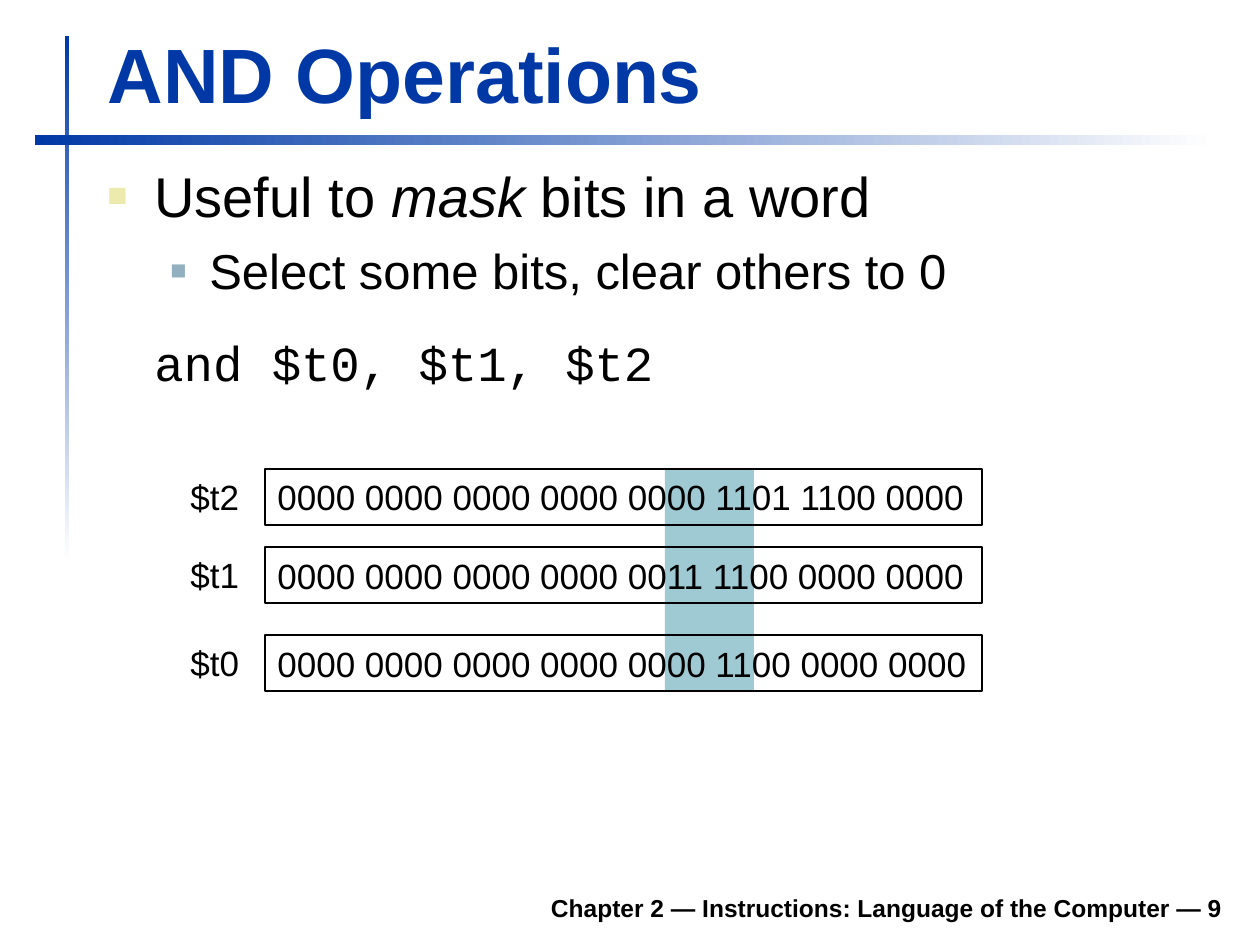
"""Build a slide on using AND to mask bits in a word."""
from dataclasses import dataclass

from lxml import etree
from pptx import Presentation
from pptx import util as u
from pptx.dml.color import RGBColor
from pptx.enum import shapes, text
from pptx.oxml.ns import qn

BLUE, BLACK, WHITE, TEAL = "0039A6", "000000", "FFFFFF", "9FCAD3"


@dataclass
class Row:
    """A register with its bits and its top edge."""
    name: str
    bits: str
    top: int


@dataclass
class Item:
    """A body paragraph, its runs as (text, italic) pairs."""
    runs: list
    size: int
    before: int
    left: int
    hang: int = 0
    level: int = 0
    mark: str = ""
    scale: int = 100
    font: str = "Arial"


ROWS = [
    Row("$t2", "0000 0000 0000 0000 0000 1101 1100 0000", 469),
    Row("$t1", "0000 0000 0000 0000 0011 1100 0000 0000", 547),
    Row("$t0", "0000 0000 0000 0000 0000 1100 0000 0000", 635),
]
ITEMS = [
    Item([("Useful to ", False), ("mask", True), (" bits in a word", False)],
         32, 4, 47, 47, mark="ECEAAC", scale=60),
    Item([("Select some bits, clear others to 0", False)],
         28, 7, 102, 39, level=1, mark="91AFBF", scale=55),
    Item([("and $t0, $t1, $t2", False)], 28, 19, 47, font="Courier New"),
]


def px(n: int) -> int:
    """Turn pixels into EMU."""
    return round(n * u.Inches(1) / 126)


def rgb(code: str) -> RGBColor:
    """Turn a hex string into a colour."""
    return RGBColor.from_string(code)


def style(run, size: int, color=BLACK, font="Arial", bold=False, italic=False):
    """Format one run."""
    f = run.font
    f.size, f.name, f.bold, f.italic = u.Pt(size), font, bold, italic
    f.color.rgb = rgb(color)


def write(shape, words: str, *, align=text.PP_ALIGN.LEFT,
          anchor=text.MSO_ANCHOR.TOP, wrap=True, **look):
    """Put one formatted line of text into a shape."""
    frame = shape.text_frame
    frame.word_wrap, frame.vertical_anchor = wrap, anchor
    frame.auto_size = text.MSO_AUTO_SIZE.NONE
    para = frame.paragraphs[0]
    para.alignment = align
    run = para.add_run()
    run.text = words
    style(run, **look)


def rect(slide, x: int, y: int, w: int, h: int, fill="", line=""):
    """Draw a rectangle with an optional fill and line."""
    box = slide.shapes.add_shape(shapes.MSO_SHAPE.RECTANGLE,
                                 px(x), px(y), px(w), px(h))
    box.shadow.inherit = False
    if fill:
        box.fill.solid()
        box.fill.fore_color.rgb = rgb(fill)
    else:
        box.fill.background()
    if line:
        box.line.color.rgb, box.line.width = rgb(line), u.Pt(0.75)
    else:
        box.line.fill.background()
    return box


def fade(slide, x: int, y: int, w: int, h: int, angle: int):
    """Draw a bar that fades from blue to white."""
    fill = rect(slide, x, y, w, h).fill
    fill.gradient()
    fill.gradient_angle = angle
    for stop, color in zip(fill.gradient_stops, (BLUE, WHITE)):
        stop.color.rgb = rgb(color)


def label(slide, x: int, y: int, w: int, h: int):
    """Add an empty text box."""
    return slide.shapes.add_textbox(px(x), px(y), px(w), px(h))


def bullet(para, item: Item):
    """Set the indent and the bullet of a paragraph."""
    props = para._p.get_or_add_pPr()
    props.set("marL", str(px(item.left)))
    props.set("indent", str(-px(item.hang)))
    if not item.mark:
        etree.SubElement(props, qn("a:buNone"))
        return
    tint = etree.SubElement(props, qn("a:buClr"))
    etree.SubElement(tint, qn("a:srgbClr"), val=item.mark)
    etree.SubElement(props, qn("a:buSzPct"), val=str(item.scale * 1000))
    etree.SubElement(props, qn("a:buFont"), typeface="Arial")
    etree.SubElement(props, qn("a:buChar"), char="■")


def body(slide, items: list[Item]):
    """Write the list of points."""
    frame = label(slide, 95, 155, 1140, 286).text_frame
    frame.word_wrap = True
    for i, item in enumerate(items):
        para = frame.add_paragraph() if i else frame.paragraphs[0]
        para.level, para.space_before = item.level, u.Pt(item.before)
        bullet(para, item)
        for words, italic in item.runs:
            run = para.add_run()
            run.text = words
            style(run, item.size, font=item.font, italic=italic)


def main():
    """Build and save the slide."""
    deck = Presentation()
    deck.slide_width, deck.slide_height = px(1260), px(945)
    slide = deck.slides.add_slide(deck.slide_layouts[5])
    title = slide.shapes.title
    title.left, title.top, title.width, title.height = map(
        px, (95, 20, 1138, 105))
    write(title, "AND Operations", anchor=text.MSO_ANCHOR.BOTTOM,
          size=44, color=BLUE, bold=True)
    fade(slide, 65, 36, 4, 525, 270)
    fade(slide, 35, 135, 1180, 10, 0)
    write(label(slide, 233, 880, 1002, 49),
          "Chapter 2 — Instructions: Language of the Computer — 9",
          align=text.PP_ALIGN.RIGHT, anchor=text.MSO_ANCHOR.BOTTOM,
          size=14, bold=True)
    body(slide, ITEMS)
    rect(slide, 665, 470, 89, 221, fill=TEAL)
    for row in ROWS:
        write(rect(slide, 265, row.top, 717, 56, line=BLACK), row.bits,
              anchor=text.MSO_ANCHOR.MIDDLE, size=20)
        write(label(slide, 178, row.top, 74, 54), row.name,
              wrap=False, size=20)
    deck.save("out.pptx")


if __name__ == "__main__":
    main()
